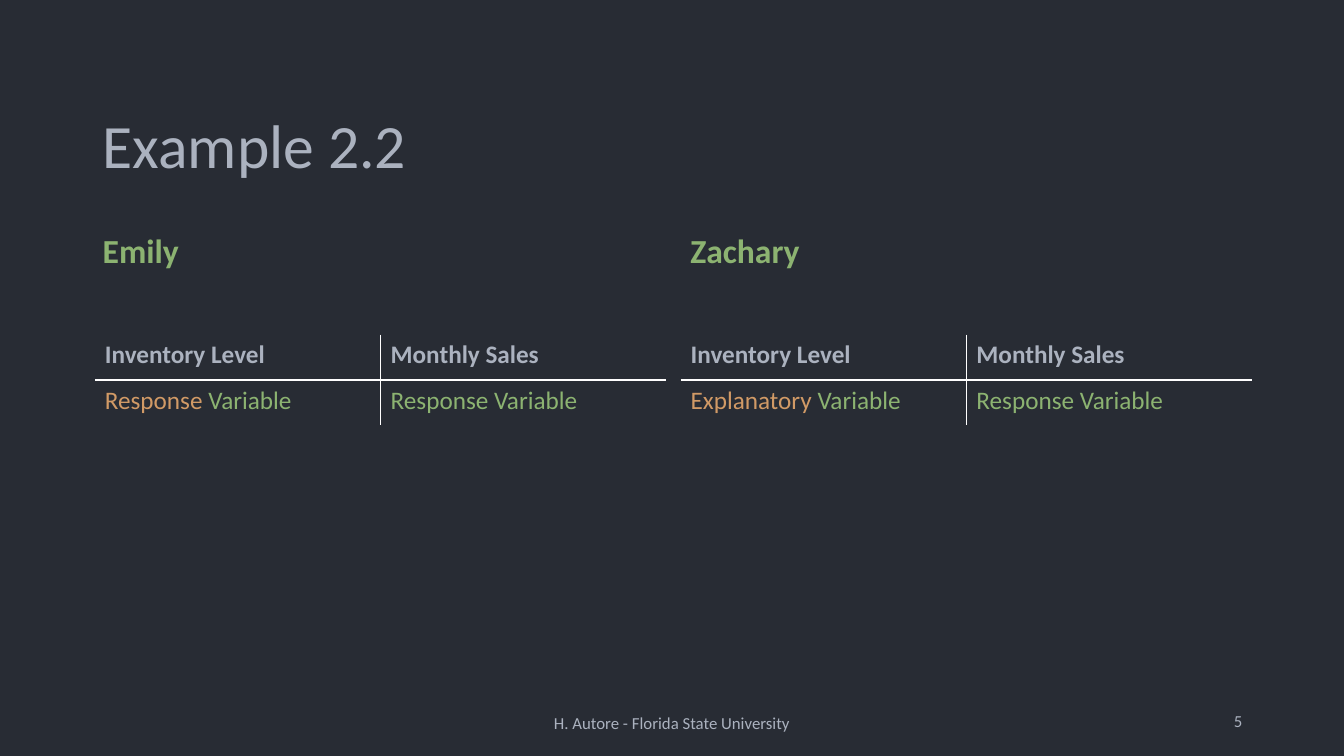
from dataclasses import dataclass

from lxml.etree import SubElement
from pptx import Presentation
from pptx.dml.color import RGBColor
from pptx.enum.text import MSO_ANCHOR as Anchor, PP_ALIGN as Align
from pptx.oxml.ns import qn
from pptx.util import Inches, Pt


@dataclass(frozen=True)
class Theme:
    font: str = "Calibri"
    background: str = "282C34"
    text: str = "ABB2BF"
    green: str = "8CB371"
    orange: str = "D19A66"
    rule: str = "FFFFFF"
    title_size: int = 44
    heading_size: int = 24
    table_size: int = 18
    footer_size: int = 12


THEME = Theme()
PAGE_WIDTH, PAGE_HEIGHT = 13.33, 7.5
MARGIN, CONTENT_WIDTH = 0.92, 11.5
TABLE_WIDTH, ROW_HEIGHT = 5.67, 0.45
PLAIN_TABLE_STYLE = "{2D5ABB26-0587-4C30-8999-92F81FD0307C}"

# Heading box, table left edge, and the role of the inventory level
STUDENTS = [
    ("Emily", (MARGIN, 1.84, 5.64, 0.9), 0.94, "Response"),
    ("Zachary", (6.75, 1.84, TABLE_WIDTH, 0.9), 6.75, "Explanatory"),
]


def style_span(span, size, color, bold=False):
    span.font.name = THEME.font
    span.font.size = Pt(size)
    span.font.bold = bold
    span.font.color.rgb = RGBColor.from_string(color)


def add_text(page, box, text, size, color=THEME.text, bold=False,
             anchor=Anchor.MIDDLE, align=Align.LEFT, line_spacing=1.0):
    frame = page.shapes.add_textbox(*map(Inches, box)).text_frame
    frame.word_wrap = True
    frame.vertical_anchor = anchor
    frame.text = text
    para = frame.paragraphs[0]
    para.alignment = align
    para.line_spacing = line_spacing
    style_span(para.runs[0], size, color, bold)


def add_border(cell, side):
    line = SubElement(cell._tc.get_or_add_tcPr(), qn(f"a:ln{side}"), w=str(Pt(1)))
    fill = SubElement(line, qn("a:solidFill"))
    SubElement(fill, qn("a:srgbClr"), val=THEME.rule)


def add_variable_table(page, box, rows):
    """Place a table with rules only between its cells; a cell is a list of (text, color, bold)."""
    row_count, column_count = len(rows), len(rows[0])
    graphic = page.shapes.add_table(row_count, column_count, *map(Inches, box))
    table = graphic.table
    table.first_row = table.horz_banding = False
    graphic._element.find(f".//{qn('a:tableStyleId')}").text = PLAIN_TABLE_STYLE
    for row, contents in enumerate(rows):
        for column, spans in enumerate(contents):
            cell = table.cell(row, column)
            inner_sides = {"L": column > 0, "R": column < column_count - 1,
                           "T": row > 0, "B": row < row_count - 1}
            for side, is_inner in inner_sides.items():
                if is_inner:
                    add_border(cell, side)
            cell.fill.background()
            para = cell.text_frame.paragraphs[0]
            for text, color, bold in spans:
                span = para.add_run()
                span.text = text
                style_span(span, THEME.table_size, color, bold)


def add_student(page, name, heading_box, table_left, inventory_role):
    add_text(page, heading_box, name, THEME.heading_size, THEME.green, bold=True,
             anchor=Anchor.BOTTOM, line_spacing=0.9)
    add_variable_table(page, (table_left, 3.32, TABLE_WIDTH, 2 * ROW_HEIGHT), [
        [[("Inventory Level", THEME.text, True)],
         [("Monthly Sales", THEME.text, True)]],
        [[(inventory_role, THEME.orange, False), (" Variable", THEME.green, False)],
         [("Response Variable", THEME.green, False)]],
    ])


def add_footer(page, box, credit, number):
    left, top, width, height = box
    number_width, credit_width = 1.37, 8
    add_text(page, (left + width - number_width, top, number_width, height), number,
             THEME.footer_size, align=Align.RIGHT)
    add_text(page, ((PAGE_WIDTH - credit_width) / 2, top + 0.02, credit_width, height),
             credit, THEME.footer_size, align=Align.CENTER)


def build_example_slide(deck):
    page = deck.slides.add_slide(deck.slide_layouts[6])
    page.background.fill.solid()
    page.background.fill.fore_color.rgb = RGBColor.from_string(THEME.background)
    add_text(page, (MARGIN, 0.4, CONTENT_WIDTH, 1.45), "Example 2.2", THEME.title_size,
             anchor=Anchor.BOTTOM, line_spacing=0.9)
    for student in STUDENTS:
        add_student(page, *student)
    add_footer(page, (MARGIN, 6.95, CONTENT_WIDTH, 0.4),
               "H. Autore - Florida State University", "5")


def main():
    deck = Presentation()
    deck.slide_width, deck.slide_height = Inches(PAGE_WIDTH), Inches(PAGE_HEIGHT)
    build_example_slide(deck)
    deck.save("out.pptx")


if __name__ == "__main__":
    main()
